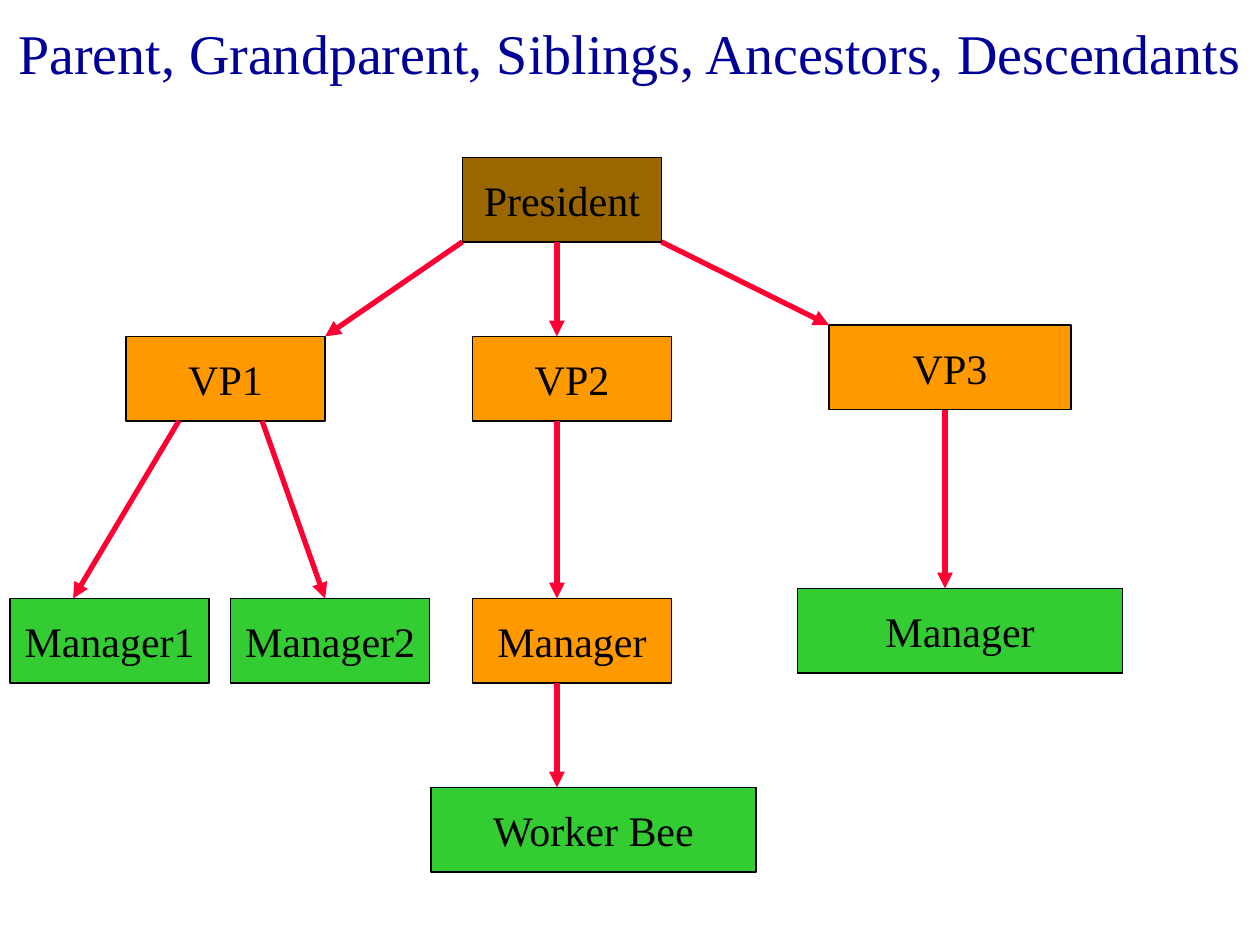
from pptx import Presentation
from pptx.dml.color import RGBColor
from pptx.enum.shapes import MSO_CONNECTOR as Conn, MSO_SHAPE as Shape
from pptx.enum.text import MSO_ANCHOR as Anchor, MSO_AUTO_SIZE as Auto, PP_ALIGN as Align
from pptx.oxml.ns import qn
from pptx.util import Inches, Pt
from lxml.etree import SubElement

FONT = "Times New Roman"
HUES = {
    "title": "000099",
    "ink": "000000",
    "brown": "996600",
    "orange": "FF9900",
    "green": "33CC33",
    "arrow": "FF0033",
}
HIGH = 0.67
NODES = {
    "president": ("President", 3.67, 0, 1.58, "brown"),
    "vp1": ("VP1", 1, 1.42, 1.58, "orange"),
    "vp2": ("VP2", 3.75, 1.42, 1.58, "orange"),
    "vp3": ("VP3", 6.58, 1.33, 1.92, "orange"),
    "first": ("Manager1", 0.08, 3.5, 1.58, "green"),
    "second": ("Manager2", 1.83, 3.5, 1.58, "green"),
    "third": ("Manager", 3.75, 3.5, 1.58, "orange"),
    "fourth": ("Manager", 6.33, 3.42, 2.58, "green"),
    "worker": ("Worker Bee", 3.42, 5, 2.58, "green"),
}
LINKS = [
    ("president", 4.42, "vp2", 4.42),
    ("president", 3.67, "vp1", 2.58),
    ("president", 5.25, "vp3", 6.58),
    ("vp1", 1.42, "first", 0.58),
    ("vp1", 2.08, "second", 2.58),
    ("vp2", 4.42, "third", 4.42),
    ("vp3", 7.5, "fourth", 7.5),
    ("third", 4.42, "worker", 4.42),
]


def color(name):
    return RGBColor.from_string(HUES[name])


def write(shape, text, size, hue):
    frame = shape.text_frame
    frame.text = text
    frame.auto_size = Auto.NONE
    frame.vertical_anchor = Anchor.MIDDLE
    para = frame.paragraphs[0]
    para.alignment = Align.CENTER
    font = para.runs[0].font
    font.name, font.size = FONT, Pt(size)
    font.color.rgb = color(hue)


def add_title(slide, left, top, width, height):
    title = slide.shapes.title
    title.left, title.top = Inches(left), Inches(top)
    title.width, title.height = Inches(width), Inches(height)
    write(title, "Parent, Grandparent, Siblings, Ancestors, Descendants", 32, "title")


def add_node(slide, left, top, width, text, hue):
    node = slide.shapes.add_shape(
        Shape.RECTANGLE, Inches(left), Inches(top), Inches(width), Inches(HIGH))
    node.shadow.inherit = False
    node.fill.solid()
    node.fill.fore_color.rgb = color(hue)
    node.line.color.rgb = color("ink")
    node.line.width = Pt(1)
    write(node, text, 24, "ink")
    node.text_frame.word_wrap = False


def add_arrow(slide, *ends):
    arrow = slide.shapes.add_connector(Conn.STRAIGHT, *map(Inches, ends))
    arrow.line.color.rgb = color("arrow")
    arrow.line.width = Pt(3)
    SubElement(arrow.line._get_or_add_ln(), qn("a:tailEnd"), type="triangle")
    SubElement(arrow._element.spPr, qn("a:effectLst"))


def add_tree(slide, left, top):
    for text, x, y, width, hue in NODES.values():
        add_node(slide, left + x, top + y, width, text, hue)
    for parent, start, child, end in LINKS:
        add_arrow(slide, left + start, top + NODES[parent][2] + HIGH,
                  left + end, top + NODES[child][2])


def main():
    deck = Presentation()
    deck.slide_width, deck.slide_height = Inches(10), Inches(7.5)
    slide = deck.slides.add_slide(deck.slide_layouts[5])
    add_title(slide, 0, 0, 10, 0.83)
    add_tree(slide, 0, 1.25)
    deck.save("out.pptx")


if __name__ == "__main__":
    main()
